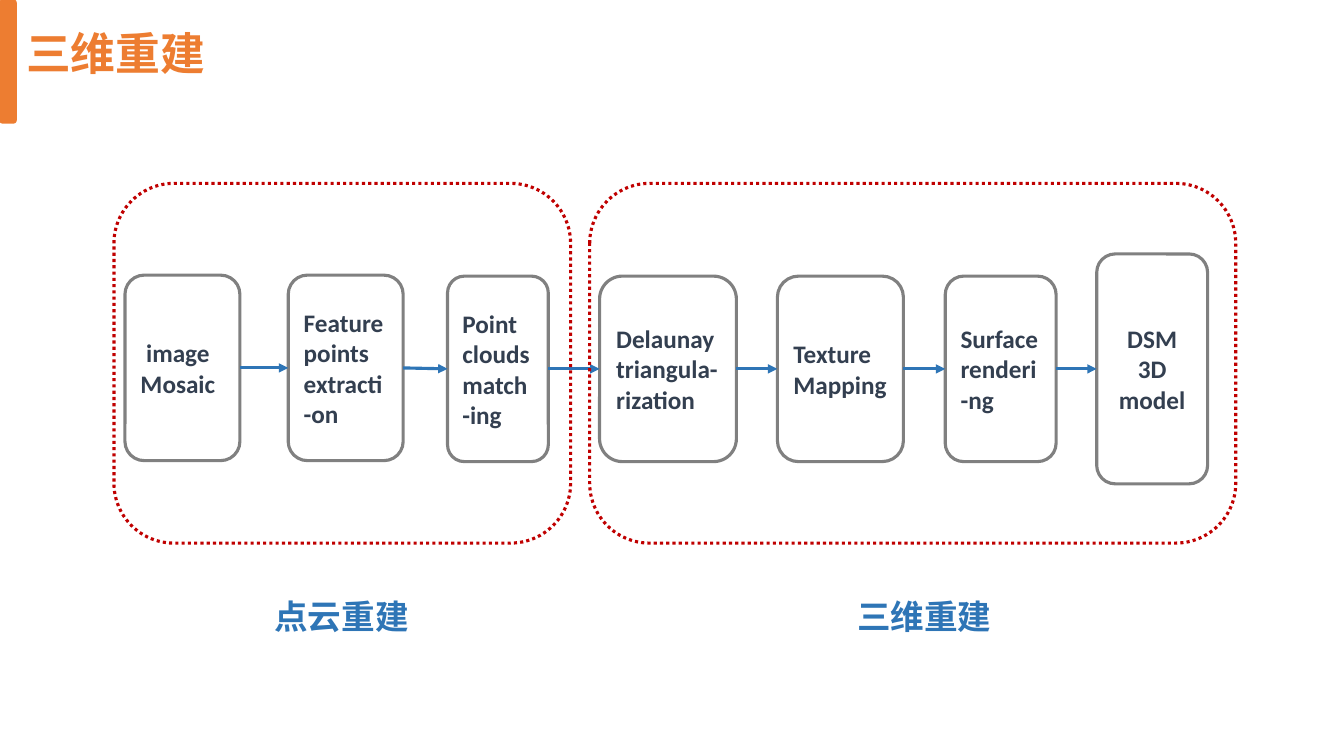
import itertools
from dataclasses import dataclass

import pptx
import pptx.dml.color
import pptx.enum.dml
import pptx.enum.shapes
import pptx.enum.text
import pptx.oxml.xmlchemy
import pptx.util

Pt = pptx.util.Pt
Align = pptx.enum.text.PP_ALIGN
Anchor = pptx.enum.text.MSO_ANCHOR

ORANGE, GREY, NAVY, BLUE, RED = "ED7D31", "808080", "333F50", "2E75B6", "C00000"
LINE_WIDTH = 2.25


@dataclass
class Step:
    text: str
    left: float
    width: float
    height: float = 132.5
    middle: float = 263.5
    align: Align = Align.LEFT


@dataclass
class Stage:
    caption: str
    left: float
    width: float
    caption_left: float


STEPS = [
    Step(" image Mosaic", 89.3, 82.1, middle=262.8),
    Step("Feature points extracti-on", 205.9, 82.1, middle=262.8),
    Step("Point\nclouds\nmatch-ing", 319.7, 72),
    Step("Delaunay\vtriangula-rization", 428.3, 97.7),
    Step("Texture Mapping", 555.3, 90),
    Step("Surface renderi-ng", 675.2, 79.2),
    Step("DSM\n3D\nmodel", 783.4, 79.2, height=164.2, align=Align.CENTER),
]
STAGES = [
    Stage("点云重建", 81.4, 326.2, 102.2),
    Stage("三维重建", 421.2, 461.5, 518.4),
]


def paint(color_format, value: str) -> None:
    color_format.rgb = pptx.dml.color.RGBColor.from_string(value)


def write(shape, text: str, *, size: float, color: str, font: str = "Calibri",
          align=Align.LEFT, anchor=Anchor.TOP, grow: bool = False) -> None:
    frame = shape.text_frame
    frame.text = text
    frame.word_wrap = True
    frame.vertical_anchor = anchor
    if grow:
        frame.auto_size = pptx.enum.text.MSO_AUTO_SIZE.SHAPE_TO_FIT_TEXT
    for paragraph in frame.paragraphs:
        paragraph.alignment = align
        for run in paragraph.runs:
            run.font.name, run.font.size, run.font.bold = font, Pt(size), True
            paint(run.font.color, color)


def add_rounded(slide, left: float, top: float, width: float, height: float, *,
                line: str, line_width: float = LINE_WIDTH, fill: str = "", dash=None):
    shape = slide.shapes.add_shape(pptx.enum.shapes.MSO_SHAPE.ROUNDED_RECTANGLE,
                                   Pt(left), Pt(top), Pt(width), Pt(height))
    shape.shadow.inherit = False
    if fill:
        shape.fill.solid()
        paint(shape.fill.fore_color, fill)
    else:
        shape.fill.background()
    paint(shape.line.color, line)
    shape.line.width = Pt(line_width)
    if dash is not None:
        shape.line.dash_style = dash
    return shape


def add_step(slide, step: Step):
    box = add_rounded(slide, step.left, step.middle - step.height / 2,
                      step.width, step.height, line=GREY)
    write(box, step.text, size=18, color=NAVY, align=step.align, anchor=Anchor.MIDDLE)
    return box


def add_arrow(slide, source, target) -> None:
    arrow = slide.shapes.add_connector(pptx.enum.shapes.MSO_CONNECTOR.STRAIGHT, 0, 0, 0, 0)
    arrow.begin_connect(source, 3)  # right side
    arrow.end_connect(target, 1)  # left side
    paint(arrow.line.color, BLUE)
    arrow.line.width = Pt(LINE_WIDTH)
    head = pptx.oxml.xmlchemy.OxmlElement("a:tailEnd")
    head.set("type", "triangle")
    outline = arrow._element.spPr.get_or_add_ln()
    outline.append(head)
    outline.addnext(pptx.oxml.xmlchemy.OxmlElement("a:effectLst"))


def add_stage(slide, stage: Stage) -> None:
    add_rounded(slide, stage.left, 131, stage.width, 257, line=RED,
                dash=pptx.enum.dml.MSO_LINE.ROUND_DOT)
    caption = slide.shapes.add_textbox(Pt(stage.caption_left), Pt(421.9), Pt(283.7), Pt(36))
    write(caption, stage.caption, size=24, color=BLUE, align=Align.CENTER, grow=True)


def main() -> None:
    presentation = pptx.Presentation()
    presentation.slide_width, presentation.slide_height = Pt(960), Pt(540)
    slide = presentation.slides.add_slide(presentation.slide_layouts[5])

    # Heading with its accent bar
    add_rounded(slide, 0, 0, 11.5, 87.8, line=ORANGE, line_width=1, fill=ORANGE)
    heading = slide.shapes.title
    heading.left, heading.top, heading.width, heading.height = Pt(11.5), Pt(15.1), Pt(344.2), Pt(46.1)
    write(heading, "三维重建", size=32, color=ORANGE, font="TeX Gyre Adventor", grow=True)

    # Process steps, each linked to the next
    boxes = [add_step(slide, step) for step in STEPS]
    for source, target in itertools.pairwise(boxes):
        add_arrow(slide, source, target)

    # Dotted stage frames with captions
    for stage in STAGES:
        add_stage(slide, stage)

    presentation.save("out.pptx")


if __name__ == "__main__":
    main()
